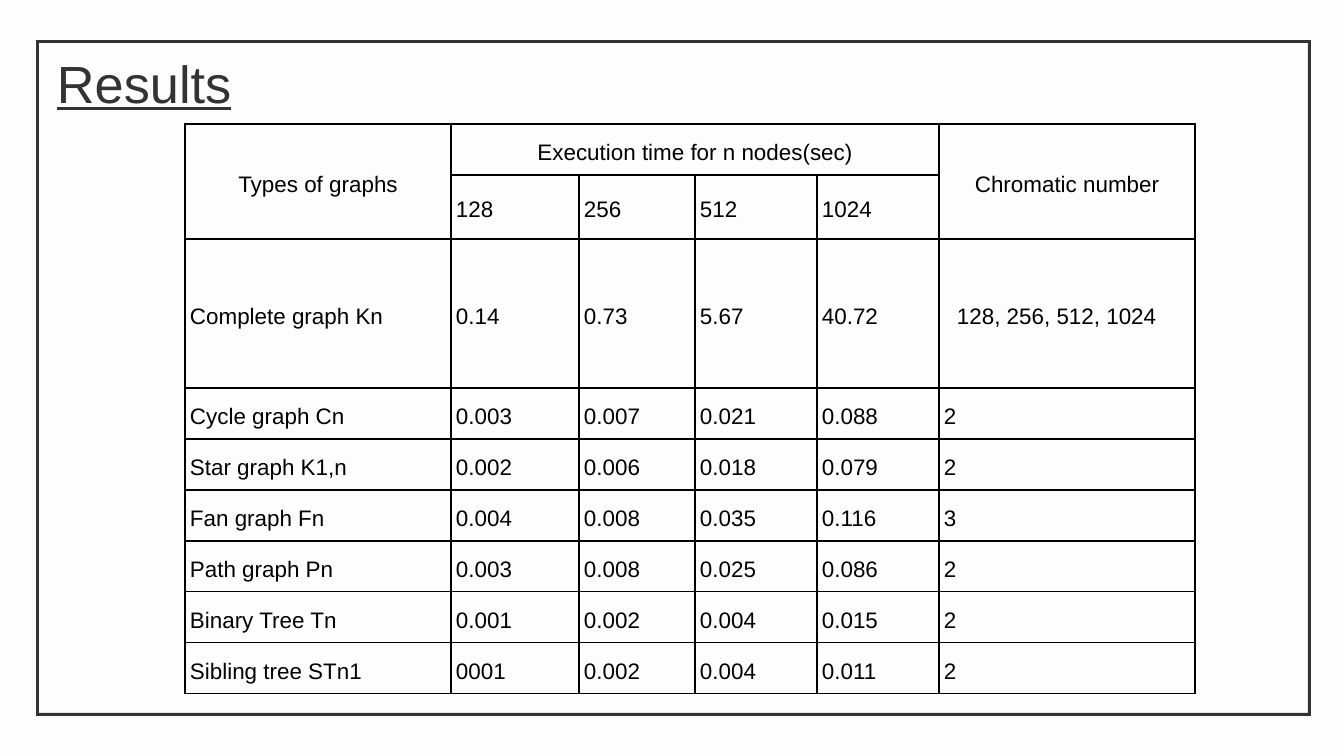
from lxml import etree
from pptx import Presentation
from pptx import util as u
from pptx.dml import color
from pptx.enum import shapes, text
from pptx.oxml import ns

SCALE = 13607
BORDER = 19050
FONT = "Arial"
INK = "333333"
BLACK = "000000"


def rgb(value):
    return color.RGBColor.from_string(value)


def add_borders(cell):
    properties = cell._tc.get_or_add_tcPr()
    for side in ("lnL", "lnR", "lnT", "lnB"):
        line = etree.SubElement(properties, ns.qn(f"a:{side}"), w=str(BORDER))
        fill = etree.SubElement(line, ns.qn("a:solidFill"))
        etree.SubElement(fill, ns.qn("a:srgbClr"), val=BLACK)


deck = Presentation()
deck.slide_width = u.Inches(20)
deck.slide_height = u.Inches(11.25)
page = deck.slides.add_slide(deck.slide_layouts[5])
page.background.fill.solid()
page.background.fill.fore_color.rgb = rgb("FDFDFD")

rows = [
    ["Types of graphs", "Execution time for n nodes(sec)", "", "", "", "Chromatic number"],
    ["", "128", "256", "512", "1024", ""],
    ["Complete graph Kn", "0.14", "0.73", "5.67", "40.72", "128, 256, 512, 1024"],
    ["Cycle graph Cn", "0.003", "0.007", "0.021", "0.088", "2"],
    ["Star graph K1,n", "0.002", "0.006", "0.018", "0.079", "2"],
    ["Fan graph Fn", "0.004", "0.008", "0.035", "0.116", "3"],
    ["Path graph Pn", "0.003", "0.008", "0.025", "0.086", "2"],
    ["Binary Tree Tn", "0.001", "0.002", "0.004", "0.015", "2"],
    ["Sibling tree STn1", "0001", "0.002", "0.004", "0.011", "2"],
]
widths = [266, 128, 116, 122, 122, 256]
heights = [51, 64, 149] + [51] * 6

left, top, width, height = (n * SCALE for n in (185, 124, sum(widths), sum(heights)))
table = page.shapes.add_table(len(rows), len(widths), left, top, width, height).table
table.first_row = False
table.horz_banding = False
for column, size in zip(table.columns, widths):
    column.width = size * SCALE
for row, size in zip(table.rows, heights):
    row.height = size * SCALE

for r, values in enumerate(rows):
    for c, value in enumerate(values):
        cell = table.cell(r, c)
        add_borders(cell)
        cell.fill.background()
        cell.vertical_anchor = text.MSO_ANCHOR.MIDDLE
        cell.margin_left = cell.margin_right = 5 * SCALE
        cell.margin_top = cell.margin_bottom = 5 * SCALE
        para = cell.text_frame.paragraphs[0]
        para.line_spacing = u.Pt(33.6)
        para.alignment = text.PP_ALIGN.CENTER if r == 0 else text.PP_ALIGN.LEFT
        para.font.size = u.Pt(24)
        if value:
            span = para.add_run()
            span.text = value
            span.font.name = FONT
            span.font.size = u.Pt(24)
            span.font.color.rgb = rgb(BLACK)
table.cell(2, 5).margin_left = 18 * SCALE
table.cell(0, 0).merge(table.cell(1, 0))
table.cell(0, 1).merge(table.cell(0, 4))
table.cell(0, 5).merge(table.cell(1, 5))

left, top, width, height = (n * SCALE for n in (36, 40, 1275, 676))
frame = page.shapes.add_shape(shapes.MSO_SHAPE.FRAME, left, top, width, height)
frame.adjustments[0] = 3 / 676
frame.shadow.inherit = False
frame.fill.solid()
frame.fill.fore_color.rgb = rgb(INK)
frame.line.fill.background()

title = page.shapes.title
title.left, title.top, title.width, title.height = (n * SCALE for n in (57, 51, 1120, 65))
box = title.text_frame
box.word_wrap = True
box.auto_size = text.MSO_AUTO_SIZE.NONE
box.vertical_anchor = text.MSO_ANCHOR.TOP
box.margin_left = box.margin_right = box.margin_top = box.margin_bottom = 0
para = box.paragraphs[0]
para.alignment = text.PP_ALIGN.JUSTIFY
para.line_spacing = u.Pt(67.2)
span = para.add_run()
span.text = "Results"
span.font.name = FONT
span.font.size = u.Pt(56)
span.font.underline = True
span.font.color.rgb = rgb(INK)

deck.save("out.pptx")
